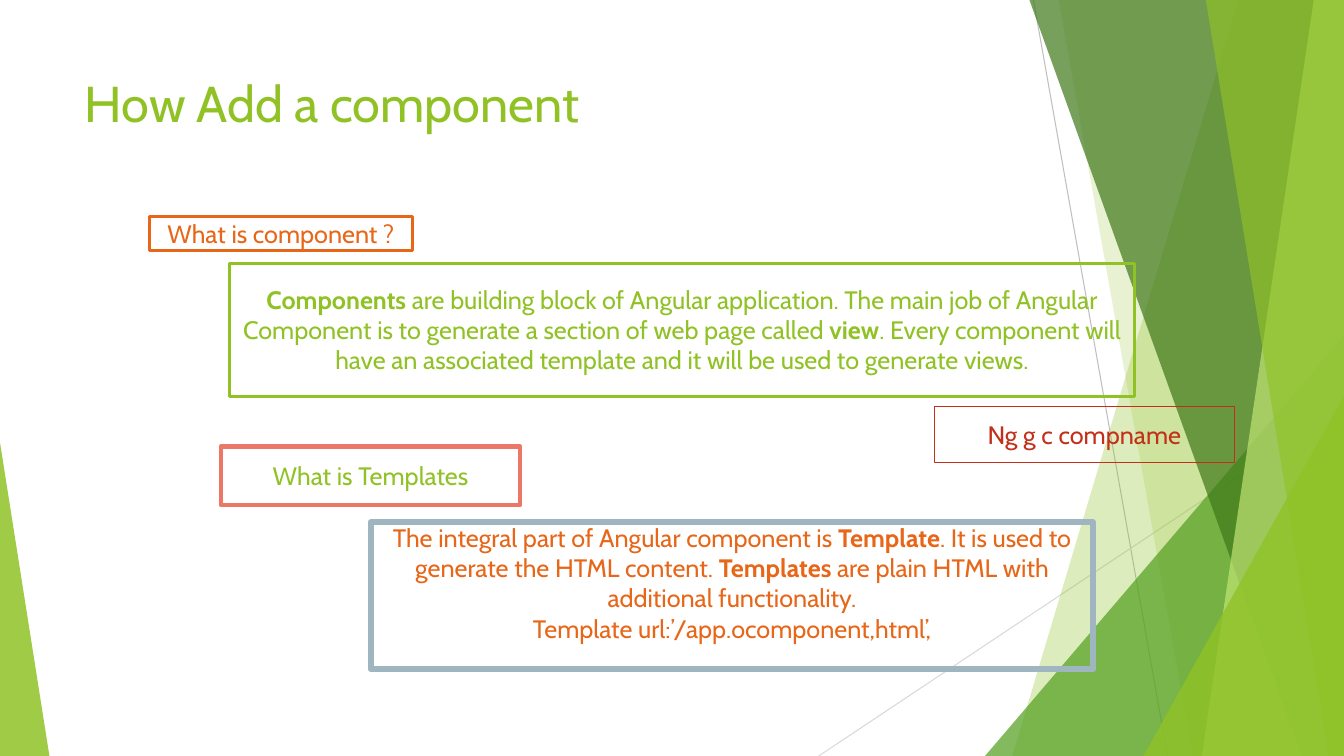
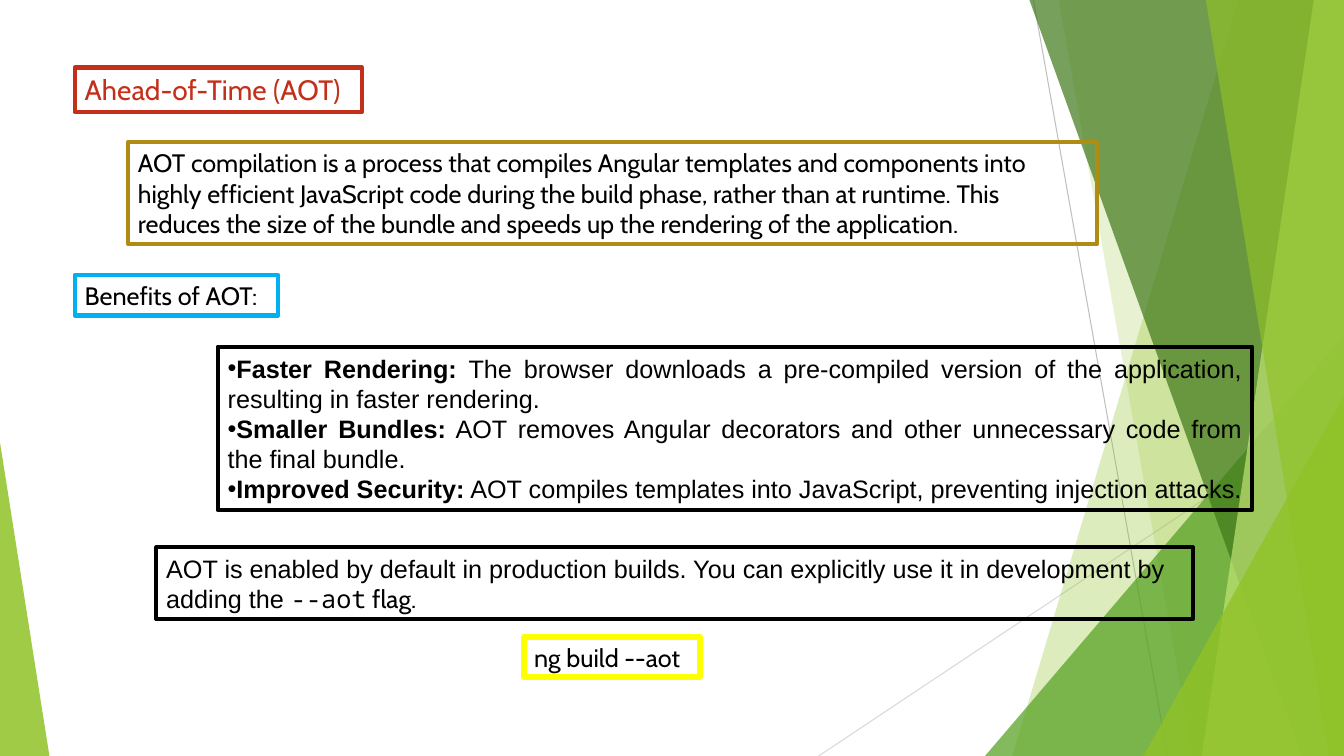
"""Build two slides on Angular components and ahead-of-time compilation."""
from lxml import etree
from pptx import Presentation
from pptx.dml.color import RGBColor
from pptx.enum.shapes import MSO_CONNECTOR, MSO_SHAPE
from pptx.enum.text import MSO_ANCHOR, MSO_AUTO_SIZE, PP_ALIGN
from pptx.oxml.ns import qn
from pptx.util import Inches, Pt

STRAIGHT = MSO_CONNECTOR.STRAIGHT
RECTANGLE, TRIANGLE = MSO_SHAPE.RECTANGLE, MSO_SHAPE.ISOSCELES_TRIANGLE
TOP, MIDDLE = MSO_ANCHOR.TOP, MSO_ANCHOR.MIDDLE
LEFT, CENTER, JUSTIFY = PP_ALIGN.LEFT, PP_ALIGN.CENTER, PP_ALIGN.JUSTIFY

WIDTH, HEIGHT = 13.33, 7.5
GREEN, ORANGE, RED, BLACK = "90C226", "E76618", "C42F1A", "000000"
SANS, PLAIN, MONO = "Cabin", "Arial", "Noto Sans Mono"


def paint(fill, colour):
    """Give a fill, line fill or font fill one solid colour."""
    fill.solid()
    fill.fore_color.rgb = RGBColor.from_string(colour)


def style(paragraph, font, size, colour, align):
    """Set the font and alignment of a whole paragraph."""
    paragraph.alignment = align
    paragraph.font.name = font
    paragraph.font.size = Pt(size)
    paragraph.font.bold = False
    paint(paragraph.font.fill, colour)


deck = Presentation()
deck.slide_width, deck.slide_height = Inches(WIDTH), Inches(HEIGHT)
layout = deck.slide_layouts[5]
heading = layout.placeholders[0]
heading.left, heading.top = Inches(0.74), Inches(0.67)
heading.width, heading.height = Inches(9.4), Inches(1.44)
heading.text_frame.vertical_anchor = TOP

component_slide = deck.slides.add_slide(layout)
aot_slide = deck.slides.add_slide(layout)

backdrop = component_slide.shapes.add_group_shape()
for x1, y1, x2, y2, colour in [
    (10.25, 0, 11.58, HEIGHT, "BFBFBF"),
    (WIDTH, 4.03, 8.12, HEIGHT, "D9D9D9"),
]:
    ray = backdrop.shapes.add_connector(
        STRAIGHT, Inches(x1), Inches(y1), Inches(x2), Inches(y2))
    paint(ray.line.fill, colour)
    ray.line.width = Pt(0.75)
    etree.SubElement(ray.element.spPr, qn("a:effectLst"))

facets = [
    ("pane", 12.28, 10.04, GREEN, 30),
    ("pane", 10.5, 11.83, GREEN, 20),
    ("right corner", 9.77, 3.33, "54A021", 72),
    ("pane", 10.21, 12.91, "3F7819", 70),
    ("pane", 13.03, 11.92, "C0E474", 70),
    ("pane", 11.96, 13.18, GREEN, 65),
    ("right corner", 11.34, 3.93, GREEN, 80),
    ("left corner", 0.49, 4.39, GREEN, 85),
]
for kind, first, second, colour, opacity in facets:
    if kind == "pane":
        outline = backdrop.shapes.build_freeform(Inches(first), 0)
        outline.add_line_segments([
            (Inches(WIDTH), 0),
            (Inches(WIDTH), Inches(HEIGHT)),
            (Inches(second), Inches(HEIGHT)),
        ])
        facet = outline.convert_to_shape()
    else:
        on_right = kind == "right corner"
        start, end = (first, WIDTH) if on_right else (0, first)
        facet = backdrop.shapes.add_shape(
            TRIANGLE, Inches(start), Inches(second),
            Inches(end - start), Inches(HEIGHT - second))
        facet.adjustments[0] = 1 if on_right else 0
    facet.shadow.inherit = False
    facet.line.fill.background()
    paint(facet.fill, colour)
    etree.SubElement(facet.element.spPr.find(qn("a:solidFill"))[0],
                     qn("a:alpha"), val=str(opacity * 1000))

for number, properties in enumerate(backdrop.element.iter(qn("p:cNvPr")), 100):
    properties.set("id", str(number))
layout.shapes.element.insert(2, backdrop.element)

aot_title = aot_slide.shapes.title
aot_title.left, aot_title.top = Inches(0.74), Inches(0.67)
aot_title.width, aot_title.height = Inches(2.85), Inches(0.44)
paint(aot_title.line.fill, RED)
aot_title.line.width = Pt(3)
for slide, title, size, colour in [
    (component_slide, "How Add a component", 36, GREEN),
    (aot_slide, "Ahead-of-Time (AOT)", 20, RED),
]:
    frame = slide.shapes.title.text_frame
    frame.text = title
    frame.auto_size = MSO_AUTO_SIZE.NONE
    style(frame.paragraphs[0], SANS, size, colour, LEFT)

boxes = [
    (component_slide, (1.48, 2.15, 2.61, 0.34), ORANGE, 2.25,
     SANS, ORANGE, CENTER, MIDDLE, [["What is component ?"]]),
    (component_slide, (2.28, 2.61, 8.97, 1.32), GREEN, 2.25,
     SANS, GREEN, CENTER, MIDDLE, [[
         ("Components", "bold", True),
         " are building block of Angular application. The main job of Angular "
         "Component is to generate a section of web page called ",
         ("view", "bold", True),
         ". Every component will have an associated template and it will be "
         "used to generate views."]]),
    (component_slide, (9.27, 4.03, 2.97, 0.56), RED, 0.75,
     SANS, RED, CENTER, MIDDLE, [["Ng g c compname"]]),
    (component_slide, (2.19, 4.43, 2.97, 0.58), "EB7766", 3,
     SANS, GREEN, CENTER, MIDDLE, [["What is Templates"]]),
    (component_slide, (3.68, 5.18, 7.16, 1.46), "9FB6C0", 4.5,
     SANS, ORANGE, CENTER, TOP, [
         ["The integral part of Angular component is ",
          ("Template", "bold", True),
          ". It is used to generate the HTML content. ",
          ("Templates", "bold", True),
          " are plain HTML with additional functionality."],
         ["Template url:’/app.ocomponent,html’,"]]),
    (aot_slide, (1.27, 1.41, 9.61, 1.01), "AF8C14", 3,
     SANS, BLACK, LEFT, MIDDLE, [[
         "AOT compilation is a process that compiles Angular templates and "
         "components into highly efficient JavaScript code during the build "
         "phase, rather than at runtime. This reduces the size of the bundle "
         "and speeds up the rendering of the application."]]),
    (aot_slide, (0.74, 2.73, 2.02, 0.4), "00B0F0", 3,
     SANS, BLACK, LEFT, MIDDLE, [["Benefits of AOT:"]]),
    (aot_slide, (2.16, 3.44, 10.26, 1.62), BLACK, 3,
     PLAIN, BLACK, JUSTIFY, MIDDLE, [
         [("Faster Rendering:", "bold", True),
          " The browser downloads a pre-compiled version of the application, "
          "resulting in faster rendering."],
         [("Smaller Bundles:", "bold", True),
          " AOT removes Angular decorators and other unnecessary code from "
          "the final bundle."],
         [("Improved Security:", "bold", True),
          " AOT compiles templates into JavaScript, preventing injection "
          "attacks."]]),
    (aot_slide, (5.2, 6.32, 1.74, 0.4), "FFFF00", 4.5,
     SANS, BLACK, LEFT, MIDDLE, [["ng build --aot"]]),
    (aot_slide, (1.55, 5.43, 10.28, 0.71), BLACK, 3,
     PLAIN, BLACK, LEFT, MIDDLE, [[
         "AOT is enabled by default in production builds. You can explicitly "
         "use it in development by adding the ",
         ("--aot", "name", MONO),
         (" flag.", "name", SANS)]]),
]
for slide, place, edge, weight, font, colour, align, anchor, texts in boxes:
    box = slide.shapes.add_shape(RECTANGLE, *map(Inches, place))
    box.shadow.inherit = False
    box.fill.background()
    paint(box.line.fill, edge)
    box.line.width = Pt(weight)
    frame = box.text_frame
    frame.word_wrap = True
    frame.vertical_anchor = anchor
    if anchor == TOP:
        frame.margin_top = 0
    for index, pieces in enumerate(texts):
        paragraph = frame.add_paragraph() if index else frame.paragraphs[0]
        if align == JUSTIFY:
            bullet_holder = paragraph._p.get_or_add_pPr()
            etree.SubElement(bullet_holder, qn("a:buFont"), typeface=PLAIN)
            etree.SubElement(bullet_holder, qn("a:buChar"), char="•")
        style(paragraph, font, 18, colour, align)
        for piece in pieces:
            run = paragraph.add_run()
            if isinstance(piece, tuple):
                run.text, trait, value = piece
                setattr(run.font, trait, value)
            else:
                run.text = piece

deck.save("out.pptx")
